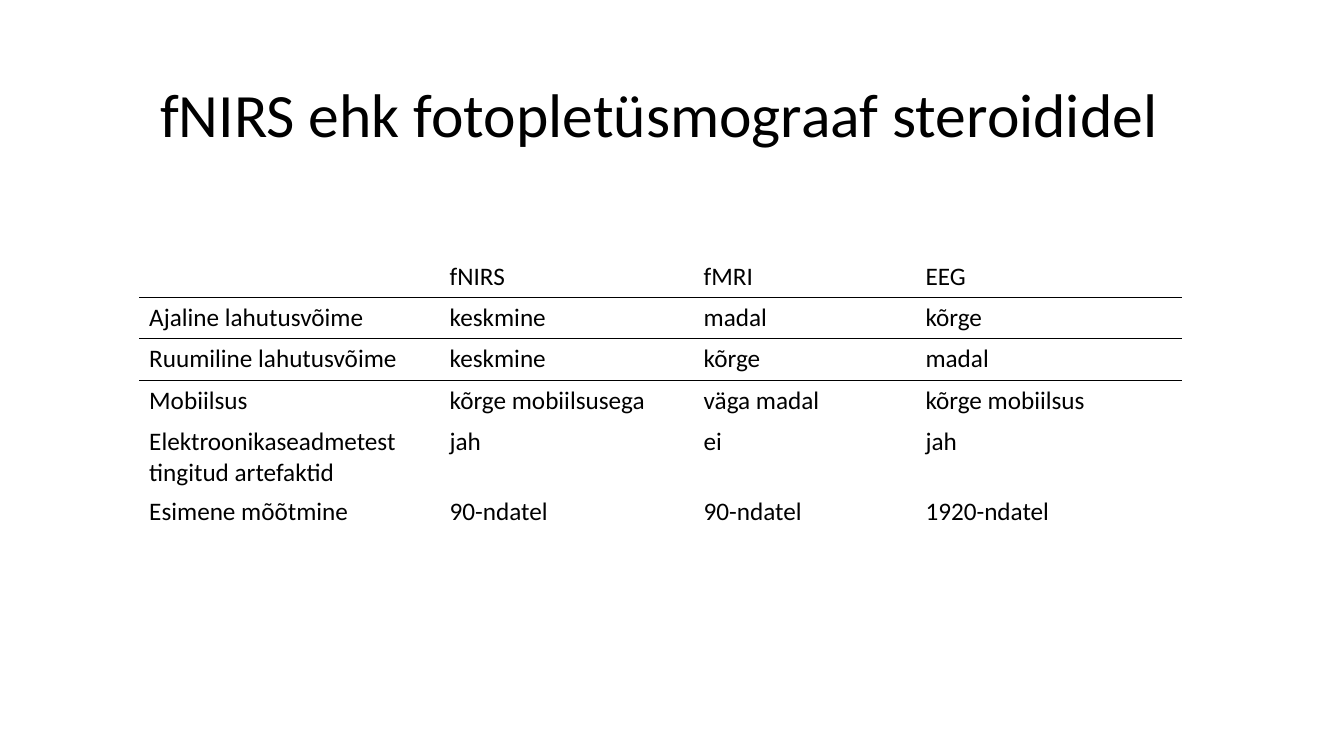
from lxml import etree
from pptx import Presentation
from pptx import util as u
from pptx.dml.color import RGBColor
from pptx.enum import text
from pptx.oxml.ns import qn

TITLE = "fNIRS ehk fotopletüsmograaf steroididel"
ROWS = [
    ("", "fNIRS", "fMRI", "EEG"),
    ("Ajaline lahutusvõime", "keskmine", "madal", "kõrge"),
    ("Ruumiline lahutusvõime", "keskmine", "kõrge", "madal"),
    ("Mobiilsus", "kõrge mobiilsusega", "väga madal", "kõrge mobiilsus"),
    ("Elektroonikaseadmetest tingitud artefaktid", "jah", "ei", "jah"),
    ("Esimene mõõtmine", "90-ndatel", "90-ndatel", "1920-ndatel"),
]
COLS = (2.98, 2.52, 2.2, 2.64)
ROW_HEIGHT = 0.41
RULES = {0: [("lnB", 1)], 1: [("lnT", 1), ("lnB", 0.5)], 2: [("lnT", 0.5)]}
BLACK = "000000"
NO_GRID_STYLE = "{2D5ABB26-0587-4C30-8999-92F81FD0307C}"


def style(font, size, color=BLACK):
    font.name = "Calibri"
    font.size = u.Pt(size)
    font.color.rgb = RGBColor.from_string(color)


def add_rule(cell, side, width, color=BLACK):
    tc_pr = cell._tc.get_or_add_tcPr()
    ln = etree.SubElement(tc_pr, qn(f"a:{side}"), w=str(u.Pt(width)))
    fill = etree.SubElement(ln, qn("a:solidFill"))
    etree.SubElement(fill, qn("a:srgbClr"), val=color)


def add_title(s):
    tf = s.shapes.add_textbox(*map(u.Inches, (0.22, 0.44, 12.64, 1.45))).text_frame
    tf.word_wrap = True
    tf.vertical_anchor = text.MSO_ANCHOR.MIDDLE
    p = tf.paragraphs[0]
    p.text = TITLE
    p.alignment = text.PP_ALIGN.CENTER
    p.line_spacing = 0.9
    style(p.runs[0].font, 44)


def add_comparison(s):
    box = (1.38, 2.54, sum(COLS), ROW_HEIGHT * len(ROWS))
    table = s.shapes.add_table(len(ROWS), len(COLS), *map(u.Inches, box)).table
    table.first_row = table.horz_banding = False
    table._tbl.tblPr.find(qn("a:tableStyleId")).text = NO_GRID_STYLE
    for col, width in zip(table.columns, COLS):
        col.width = u.Inches(width)
    for i, row in enumerate(ROWS):
        table.rows[i].height = u.Inches(ROW_HEIGHT)
        for j, label in enumerate(row):
            cell = table.cell(i, j)
            for side, width in RULES.get(i, []):
                add_rule(cell, side, width)
            cell.fill.background()
            p = cell.text_frame.paragraphs[0]
            p.text = label
            style(p.font, 18)
            for r in p.runs:
                style(r.font, 18)


def main():
    prs = Presentation()
    prs.slide_width, prs.slide_height = u.Inches(13.33), u.Inches(7.5)
    s = prs.slides.add_slide(prs.slide_layouts[6])
    add_title(s)
    add_comparison(s)
    prs.save("out.pptx")


if __name__ == "__main__":
    main()
